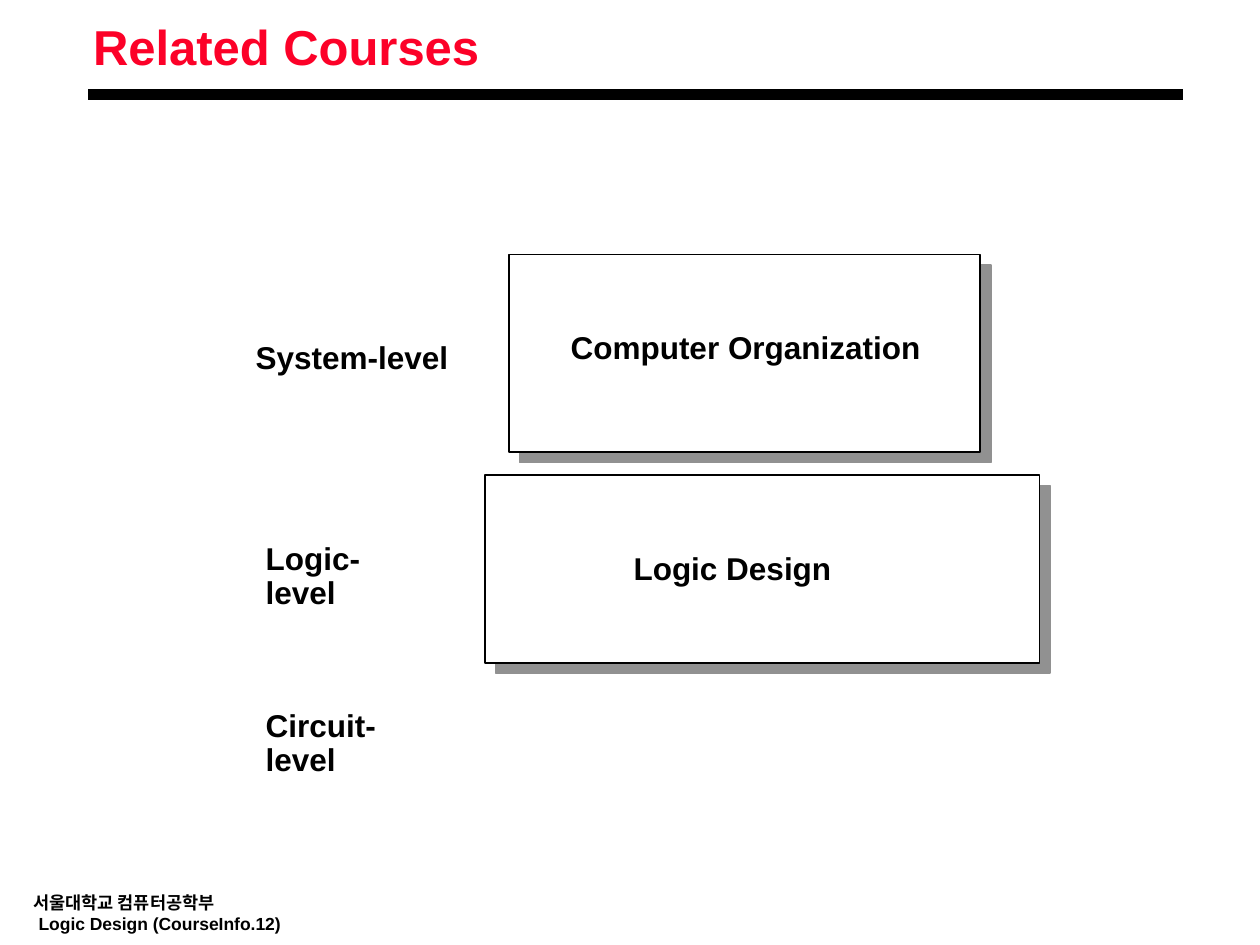
from lxml import etree
from pptx import Presentation, util as u
from pptx.dml.color import RGBColor
from pptx.enum import shapes, text
from pptx.oxml import ns

Pt = u.Pt


def colour(value):
    return RGBColor.from_string(value)


class Sketch:
    font = "Arial"
    ink = "000000"
    paper = "FFFFFF"
    accent = "FC0128"
    shade = "919191"

    def __init__(self, page):
        self.page = page

    def effects(self, item):
        return etree.SubElement(item._element.spPr, ns.qn("a:effectLst"))

    def rule(self, x1, x2, y, weight):
        line = self.page.shapes.add_connector(
            shapes.MSO_CONNECTOR.STRAIGHT, Pt(x1), Pt(y), Pt(x2), Pt(y))
        line.line.color.rgb = colour(self.ink)
        line.line.width = Pt(weight)
        self.effects(line)

    def card(self, left, top, width, height):
        box = self.page.shapes.add_shape(
            shapes.MSO_SHAPE.RECTANGLE, Pt(left), Pt(top), Pt(width), Pt(height))
        box.fill.solid()
        box.fill.fore_color.rgb = colour(self.paper)
        box.line.color.rgb = colour(self.ink)
        box.line.width = Pt(1)
        # Solid shadow, 8.5 pt down and to the right
        shadow = etree.SubElement(
            self.effects(box), ns.qn("a:outerShdw"), dist=str(Pt(8.5)),
            dir=str(45 * 60000), algn="ctr", rotWithShape="0")
        etree.SubElement(shadow, ns.qn("a:srgbClr"), val=self.shade)

    def label(self, words, left, top, width, height=26.6, size=18, ink=ink,
              spacing=0.9, inset=(7.2, 3.6), wrap=False, grow=True,
              anchor=text.MSO_ANCHOR.TOP):
        box = self.page.shapes.add_textbox(Pt(left), Pt(top), Pt(width), Pt(height))
        frame = box.text_frame
        frame.text = words
        frame.word_wrap = wrap
        frame.vertical_anchor = anchor
        fit = text.MSO_AUTO_SIZE
        frame.auto_size = fit.SHAPE_TO_FIT_TEXT if grow else fit.NONE
        frame.margin_left = frame.margin_right = Pt(inset[0])
        frame.margin_top = frame.margin_bottom = Pt(inset[1])
        for para in frame.paragraphs:
            para.line_spacing = spacing
            for span in para.runs:
                span.font.name = self.font
                span.font.size = Pt(size)
                span.font.bold = True
                span.font.color.rgb = colour(ink)


def main():
    deck = Presentation()
    deck.slide_width, deck.slide_height = Pt(720), Pt(540)
    sketch = Sketch(deck.slides.add_slide(deck.slide_layouts[6]))

    # Heading and footer
    sketch.rule(50.4, 676, 54, 6)
    sketch.label("서울대학교 컴퓨터공학부\n Logic Design (CourseInfo.12)",
                 12.2, 504, 149.8, 36, size=10, spacing=1.0, grow=False,
                 anchor=text.MSO_ANCHOR.MIDDLE)
    sketch.label("Related Courses", 48.2, 12.2, 233.3, 33.1, size=28,
                 ink=sketch.accent, spacing=0.85, inset=(5, 2.2))

    # Courses
    sketch.card(277.2, 271.4, 316.8, 107.3)
    sketch.label("Logic Design", 355, 312.5, 127.4)
    sketch.card(290.9, 145.4, 269.3, 113)
    sketch.label("Computer Organization", 319, 186.5, 214.6)

    # Levels; the lower two break after the hyphen
    sketch.label("System-level", 139, 192.2, 124.6)
    sketch.label("Logic-level", 144.7, 306.7, 104, wrap=True)
    sketch.label("Circuit-level", 144.7, 402.5, 112, wrap=True)

    deck.save("out.pptx")


if __name__ == "__main__":
    main()
